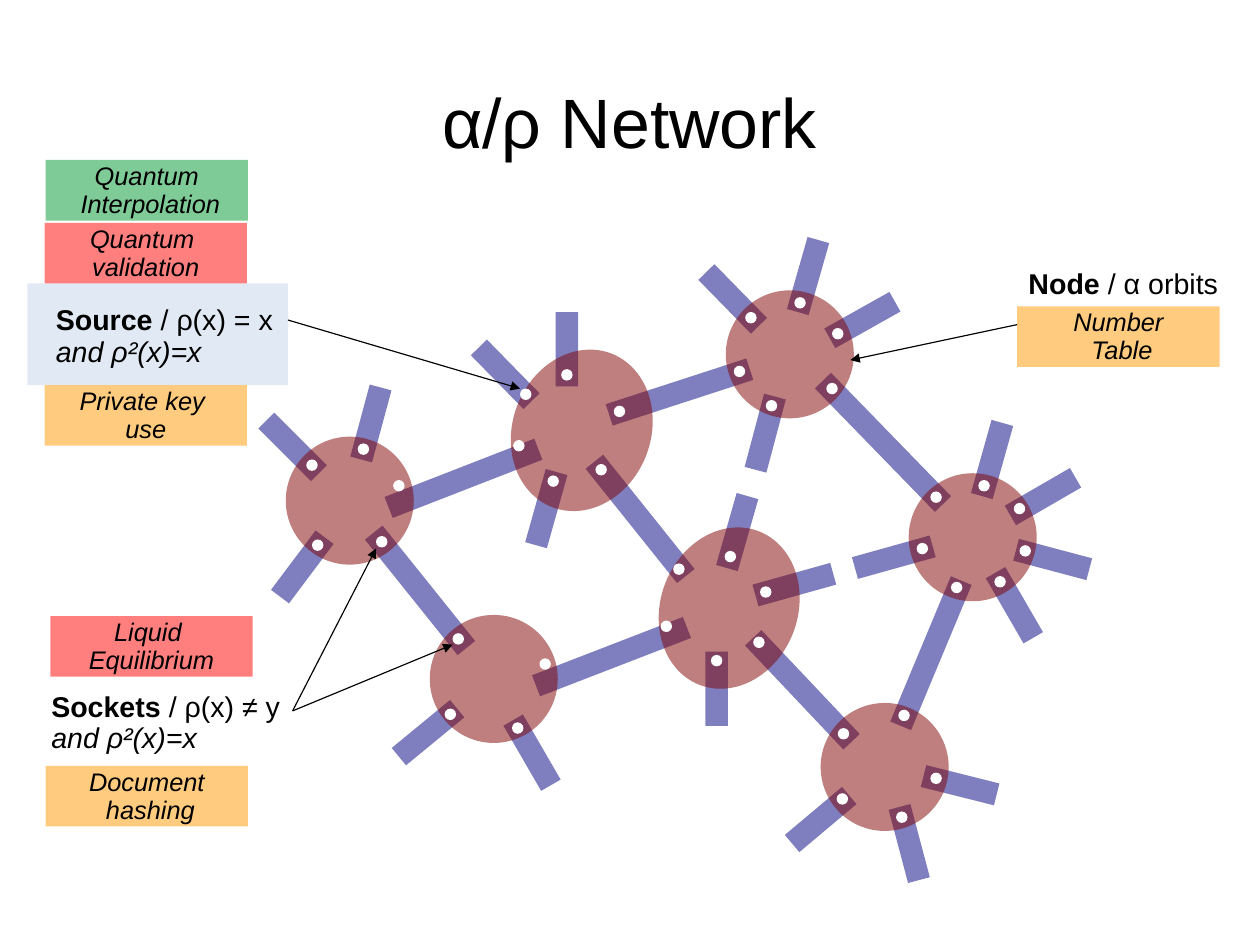
from dataclasses import dataclass

from pptx import Presentation
from pptx.dml.color import RGBColor
from pptx.enum.shapes import MSO_CONNECTOR, MSO_SHAPE
from pptx.enum.text import MSO_ANCHOR, PP_ALIGN
from pptx.oxml.ns import qn
from pptx.util import Cm, Inches, Pt
from lxml.etree import SubElement


@dataclass(frozen=True)
class Theme:
    font: str = "Arial"
    title_size: int = 44
    caption_size: int = 18
    tag_size: int = 16
    link_width: float = 14.17
    arrow_width: float = 0.75
    text: str = "000000"
    link: str = "000080"
    node: str = "800000"
    socket: str = "FFFFFF"
    panel: str = "729FCF"
    orange: str = "FF9900"
    red: str = "FF0000"
    green: str = "009933"


THEME = Theme()

# Content: lengths in inches
TITLE = "α/ρ Network"
PANEL = (0.24, 2.48, 2.28, 0.89)

# Links between nodes and loose arms: x1, y1, x2, y2
LINKS = [
    (8.71, 5.01, 9.04, 5.58), (9.41, 4.18, 8.84, 4.51), (8.77, 3.7, 8.59, 4.34),
    (8.89, 4.81, 9.53, 4.98), (8.08, 6.79, 8.72, 6.95), (7.83, 2.64, 7.26, 2.96),
    (6.64, 2.85, 6.18, 2.38), (7.16, 2.1, 6.98, 2.73), (6.54, 4.34, 6.36, 4.97),
    (6.78, 3.47, 6.61, 4.11), (5.33, 3.63, 6.56, 3.23), (7.43, 6.96, 6.93, 7.38),
    (7.87, 7.06, 8.04, 7.7), (8.16, 4.78, 7.48, 4.97), (7.2, 3.33, 8.25, 4.41),
    (3.33, 3.39, 3.16, 4.02), (4.87, 4.13, 4.69, 4.77), (4.65, 3.51, 4.19, 3.04),
    (4.96, 2.73, 4.96, 3.38), (6.59, 5.58, 7.45, 6.49), (7.29, 5.02, 6.61, 5.21),
    (6.27, 5.7, 6.27, 6.35), (5.2, 4.04, 6, 5.04), (4, 6.2, 3.49, 6.62),
    (4.49, 6.3, 4.82, 6.87), (2.79, 4.14, 2.33, 3.68), (3.4, 4.44, 4.71, 3.93),
    (4.69, 6, 6.01, 5.49), (2.84, 4.7, 2.45, 5.22), (3.27, 4.66, 4.08, 5.67),
    (8.41, 5.08, 7.88, 6.35),
]

# Nodes: (left, top, width, height), rotation, top-left corners of the sockets
ROUND = (1.12, 1.12)
NODES = [
    ((2.5, 3.82, *ROUND), 0,
     [(2.68, 4.02), (3.13, 3.88), (3.44, 4.2), (3.29, 4.69), (2.73, 4.72)]),
    ((3.76, 5.38, *ROUND), 0,
     [(3.96, 5.54), (4.48, 6.32), (4.72, 5.76), (3.89, 6.2)]),
    ((4.37, 3.16, 1.44, 1.21), 291,
     [(4.79, 4.16), (4.55, 3.4), (5.37, 3.55), (5.21, 4.06), (4.49, 3.85), (4.91, 3.23)]),
    ((6.35, 2.54, *ROUND), 291,
     [(6.52, 2.73), (6.42, 3.2), (6.7, 3.5), (7.23, 3.35), (7.28, 2.87), (6.95, 2.6)]),
    ((5.66, 4.72, 1.44, 1.2), 291,
     [(6.34, 4.82), (5.89, 4.93), (5.78, 5.43), (6.22, 5.73), (6.59, 5.57), (6.65, 5.13)]),
    ((7.95, 4.14, *ROUND), 0,
     [(8.02, 4.75), (8.32, 5.09), (8.7, 5.04), (8.92, 4.77), (8.87, 4.4), (8.56, 4.2),
      (8.14, 4.3)]),
    ((7.18, 6.15, *ROUND), 54,
     [(7.86, 6.21), (7.33, 6.37), (7.32, 6.94), (7.84, 7.1), (8.14, 6.76)]),
]
SOCKET_SIZE = 0.1

ARROWS = [
    (2.52, 2.8, 4.55, 3.4),
    (2.56, 6.22, 3.29, 4.8),
    (2.56, 6.22, 3.96, 5.64),
    (8.9, 2.84, 7.44, 3.15),
]

# Captions: place, paragraphs of (text, bold, italic)
CAPTIONS = [
    ((0.39, 2.6, 2.28, 0.72),
     [[("Source", True, False), (" / ρ(x) = x", False, False)],
      [("and ρ²(x)=x", False, True)]]),
    ((0.35, 5.98, 2.28, 0.72),
     [[("Sockets", True, False), (" / ρ(x) ≠ y ", False, False),
       ("and ρ²(x)=x", False, True)]]),
    ((8.9, 2.28, 2.1, 0.69),
     [[("Node", True, False), (" / α orbits", False, False)]]),
]

TAG_SIZE = (1.77, 0.53)
TAGS = [
    (8.9, 2.68, THEME.orange, "Number\n Table"),
    (0.4, 6.7, THEME.orange, "Document\n hashing"),
    (0.44, 5.39, THEME.red, "Liquid \nEquilibrium"),
    (0.39, 3.37, THEME.orange, "Private key \nuse"),
    (0.39, 1.95, THEME.red, "Quantum \nvalidation"),
    (0.4, 1.4, THEME.green, "Quantum\n Interpolation"),
]


def inches(values):
    return [Inches(value) for value in values]


def set_opacity(element, percent):
    for color in element.spPr.iter(qn("a:srgbClr")):
        SubElement(color, qn("a:alpha")).set("val", str(percent * 1000))


def add_filled(shapes, kind, place, color, opacity=100):
    filled = shapes.add_shape(kind, *inches(place))
    filled.shadow.inherit = False
    filled.fill.solid()
    filled.fill.fore_color.rgb = RGBColor.from_string(color)
    filled.line.fill.background()
    if opacity < 100:
        set_opacity(filled._element, opacity)
    return filled


def add_line(shapes, ends, color, width):
    line = shapes.add_connector(MSO_CONNECTOR.STRAIGHT, *inches(ends))
    line.line.color.rgb = RGBColor.from_string(color)
    line.line.width = Pt(width)
    SubElement(line._element.spPr, qn("a:effectLst"))
    return line


def style_run(run, size, bold=False, italic=False):
    run.font.name = THEME.font
    run.font.size = Pt(size)
    run.font.bold = bold
    run.font.italic = italic
    run.font.color.rgb = RGBColor.from_string(THEME.text)


def set_frame(frame, margins, anchor, wrap=True):
    (frame.margin_left, frame.margin_top,
     frame.margin_right, frame.margin_bottom) = inches(margins)
    frame.vertical_anchor = anchor
    frame.word_wrap = wrap


def main():
    deck = Presentation()
    deck.slide_width, deck.slide_height = Cm(28), Cm(21)
    slide = deck.slides.add_slide(deck.slide_layouts[5])
    shapes = slide.shapes

    # Title
    title = shapes.title
    title.left, title.top, title.width, title.height = inches((0.55, 0.33, 9.92, 1.38))
    title.text_frame.text = TITLE
    set_frame(title.text_frame, (0, 0, 0, 0), MSO_ANCHOR.MIDDLE)
    heading = title.text_frame.paragraphs[0]
    heading.alignment = PP_ALIGN.CENTER
    heading.line_spacing = 1.09
    style_run(heading.runs[0], THEME.title_size)

    # Panel behind the source caption
    add_filled(shapes, MSO_SHAPE.RECTANGLE, PANEL, THEME.panel, 21)

    # Network: links, then nodes, then sockets
    network = shapes.add_group_shape().shapes
    for ends in LINKS:
        link = add_line(network, ends, THEME.link, THEME.link_width)
        set_opacity(link._element, 50)
    for place, rotation, _ in NODES:
        node = add_filled(network, MSO_SHAPE.OVAL, place, THEME.node, 50)
        node.rotation = rotation
    for _, _, sockets in NODES:
        for corner in sockets:
            add_filled(network, MSO_SHAPE.OVAL, (*corner, SOCKET_SIZE, SOCKET_SIZE), THEME.socket)

    # Arrows from captions to the network
    for ends in ARROWS:
        arrow = add_line(shapes, ends, THEME.text, THEME.arrow_width)
        SubElement(arrow.line._get_or_add_ln(), qn("a:tailEnd")).set("type", "triangle")

    # Captions
    for place, paragraphs in CAPTIONS:
        frame = shapes.add_textbox(*inches(place)).text_frame
        set_frame(frame, (0.1, 0.07, 0.1, 0.05), MSO_ANCHOR.TOP)
        for index, parts in enumerate(paragraphs):
            paragraph = frame.add_paragraph() if index else frame.paragraphs[0]
            paragraph.line_spacing = 0.93
            for text, bold, italic in parts:
                run = paragraph.add_run()
                run.text = text
                style_run(run, THEME.caption_size, bold, italic)

    # Coloured tags
    for left, top, color, text in TAGS:
        tag = add_filled(shapes, MSO_SHAPE.RECTANGLE, (left, top, *TAG_SIZE), color, 50)
        tag.text_frame.text = text
        set_frame(tag.text_frame, (0.1, 0.06, 0.1, 0.05), MSO_ANCHOR.MIDDLE, wrap=False)
        for paragraph in tag.text_frame.paragraphs:
            paragraph.alignment = PP_ALIGN.CENTER
            paragraph.line_spacing = 0.93
            style_run(paragraph.runs[0], THEME.tag_size, italic=True)

    deck.save("out.pptx")


if __name__ == "__main__":
    main()
